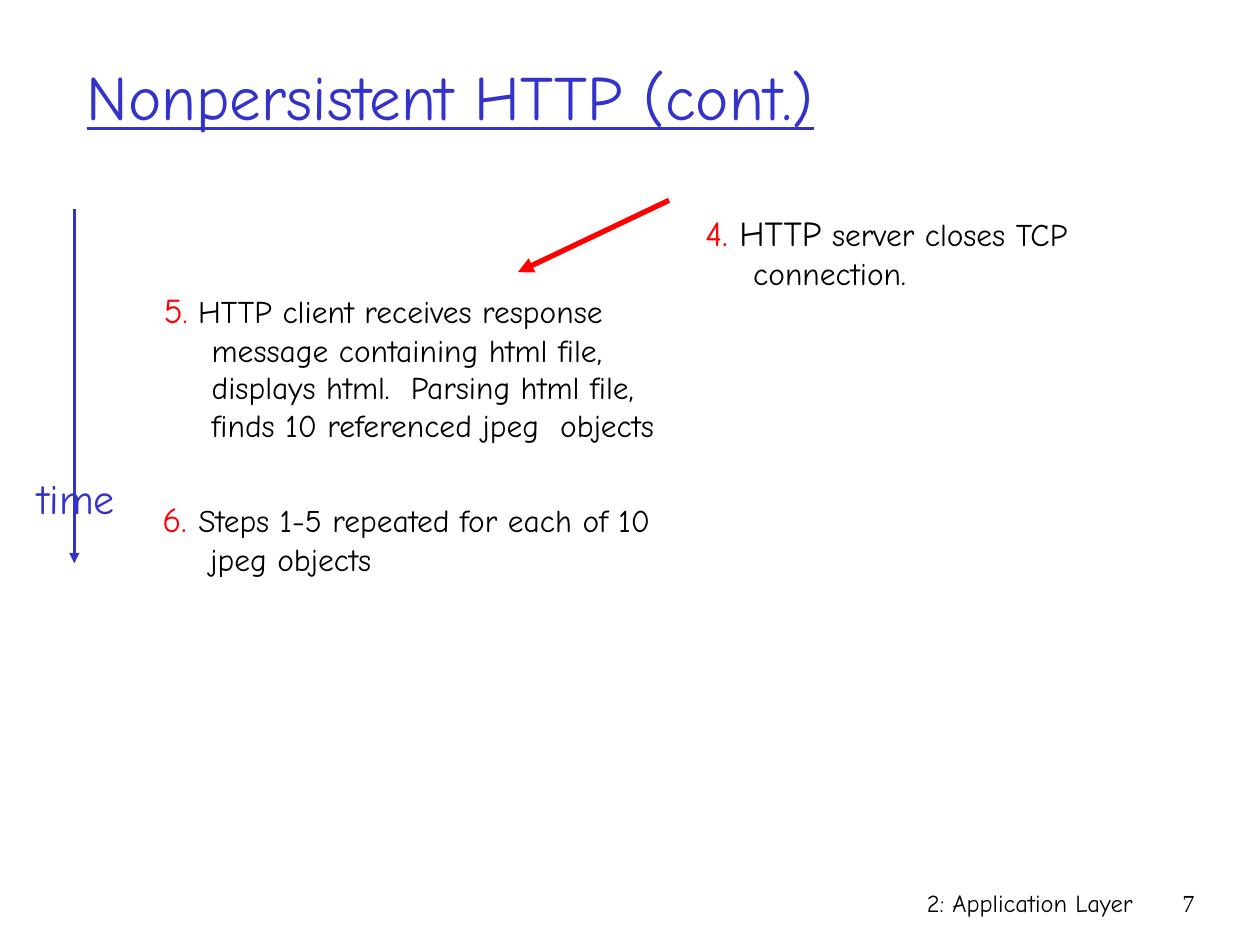
from lxml import etree
from pptx import Presentation
from pptx.dml.color import RGBColor
from pptx.enum.shapes import MSO_CONNECTOR
from pptx.enum.text import MSO_ANCHOR, MSO_AUTO_SIZE, PP_ALIGN
from pptx.oxml.ns import qn
from pptx.util import Inches, Pt

STRAIGHT = MSO_CONNECTOR.STRAIGHT
TOP, MIDDLE = MSO_ANCHOR.TOP, MSO_ANCHOR.MIDDLE
LEFT, CENTER, RIGHT = PP_ALIGN.LEFT, PP_ALIGN.CENTER, PP_ALIGN.RIGHT

BLUE, RED, BLACK = "3333CC", "FF0000", "000000"
MAIN_FONT, NUMBER_FONT = "Comic Neue", "Times New Roman"
STEP_WIDTH, STEP_INDENT = 4.17, 0.38
FOOTER_TOP, FOOTER_HEIGHT = 7, 0.5


def color(hex_string):
    return RGBColor.from_string(hex_string)


def write_text(shape, box, runs, font=MAIN_FONT, align=LEFT, anchor=TOP,
               underline=None, hanging=0, wrap=True):
    """Place the shape and fill it with (text, size, colour) runs."""
    shape.left, shape.top, shape.width, shape.height = map(Inches, box)
    frame = shape.text_frame
    frame.word_wrap = wrap
    frame.auto_size = MSO_AUTO_SIZE.NONE
    frame.vertical_anchor = anchor
    paragraph = frame.paragraphs[0]
    paragraph.alignment = align
    paragraph.space_before = Pt(0)
    properties = paragraph._p.get_or_add_pPr()
    properties.set("marL", str(Inches(hanging)))
    properties.set("indent", str(-Inches(hanging)))
    etree.SubElement(properties, qn("a:buNone"))
    for text, size, hex_string in runs:
        run = paragraph.add_run()
        run.text = text
        run.font.name = font
        run.font.size = Pt(size)
        run.font.underline = underline
        run.font.color.rgb = color(hex_string)


def add_label(slide, box, runs, **text_format):
    label = slide.shapes.add_textbox(0, 0, 0, 0)
    write_text(label, box, runs, **text_format)


def add_arrow(slide, start, end, hex_string, weight):
    arrow = slide.shapes.add_connector(STRAIGHT, *map(Inches, start + end))
    arrow.line.color.rgb = color(hex_string)
    arrow.line.width = Pt(weight)
    etree.SubElement(arrow.line._get_or_add_ln(), qn("a:tailEnd"), type="triangle")
    etree.SubElement(arrow._element.spPr, qn("a:effectLst"))


def main():
    deck = Presentation()
    deck.slide_width, deck.slide_height = Inches(10), Inches(7.5)
    slide = deck.slides.add_slide(deck.slide_layouts[1])
    title, client_step = slide.placeholders

    # Footer
    add_label(slide, (5.92, FOOTER_TOP, 3.17, FOOTER_HEIGHT),
              [("2: Application Layer", 14, BLACK)], align=RIGHT)
    add_label(slide, (9.08, FOOTER_TOP, 0.5, FOOTER_HEIGHT),
              [("7", 14, BLACK)], font=NUMBER_FONT, align=RIGHT)

    # Title
    write_text(title, (0.59, 0.28, 8.5, 0.95),
               [("Nonpersistent HTTP (cont.)", 36, BLUE)],
               anchor=MIDDLE, underline=True)

    # Client steps on the left, server step on the right
    write_text(client_step, (1.2, 2.24, STEP_WIDTH, 1.68), [
        ("5", 20, RED), (".", 18, RED),
        (" HTTP client receives response message containing html file, "
         "displays html.  Parsing html file, finds 10 referenced jpeg  objects",
         18, BLACK)], hanging=STEP_INDENT)
    add_label(slide, (1.19, 3.9, STEP_WIDTH, 0.73), [
        ("6. ", 20, RED),
        ("Steps 1-5 repeated for each of 10 jpeg objects", 18, BLACK)],
        hanging=STEP_INDENT)
    add_label(slide, (5.5, 1.63, STEP_WIDTH, 0.8), [
        ("4.", 20, RED), (" HTTP", 20, BLACK),
        (" server closes TCP connection.", 18, BLACK)], hanging=STEP_INDENT)

    # Time axis
    add_arrow(slide, (0.59, 1.66), (0.59, 4.47), BLUE, 1.5)
    add_label(slide, (0.16, 3.7, 0.89, 0.5), [("time", 24, BLUE)],
              align=CENTER, wrap=False)

    # Response from server to client
    add_arrow(slide, (5.31, 1.59), (4.11, 2.16), RED, 3)

    deck.save("out.pptx")


if __name__ == "__main__":
    main()
